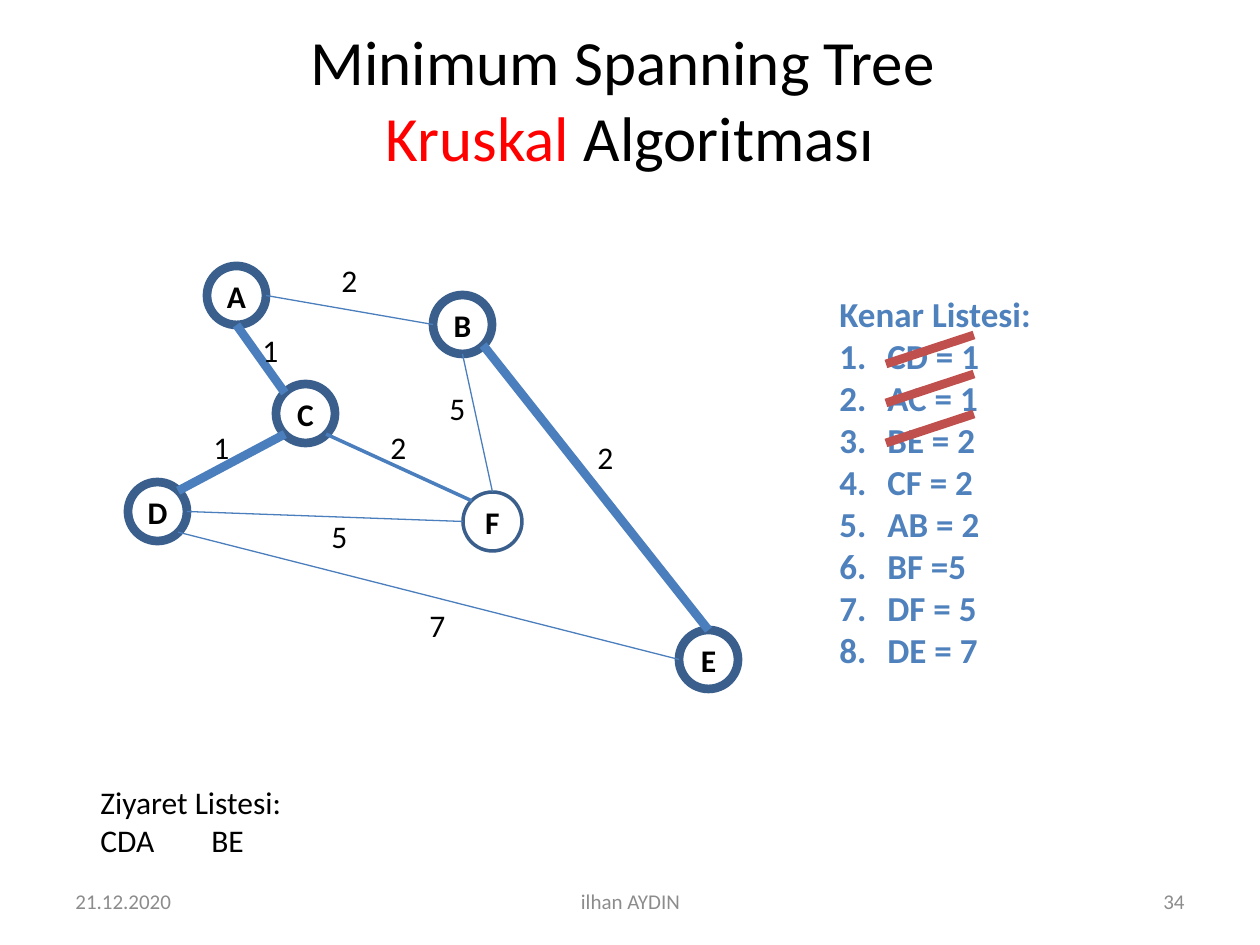
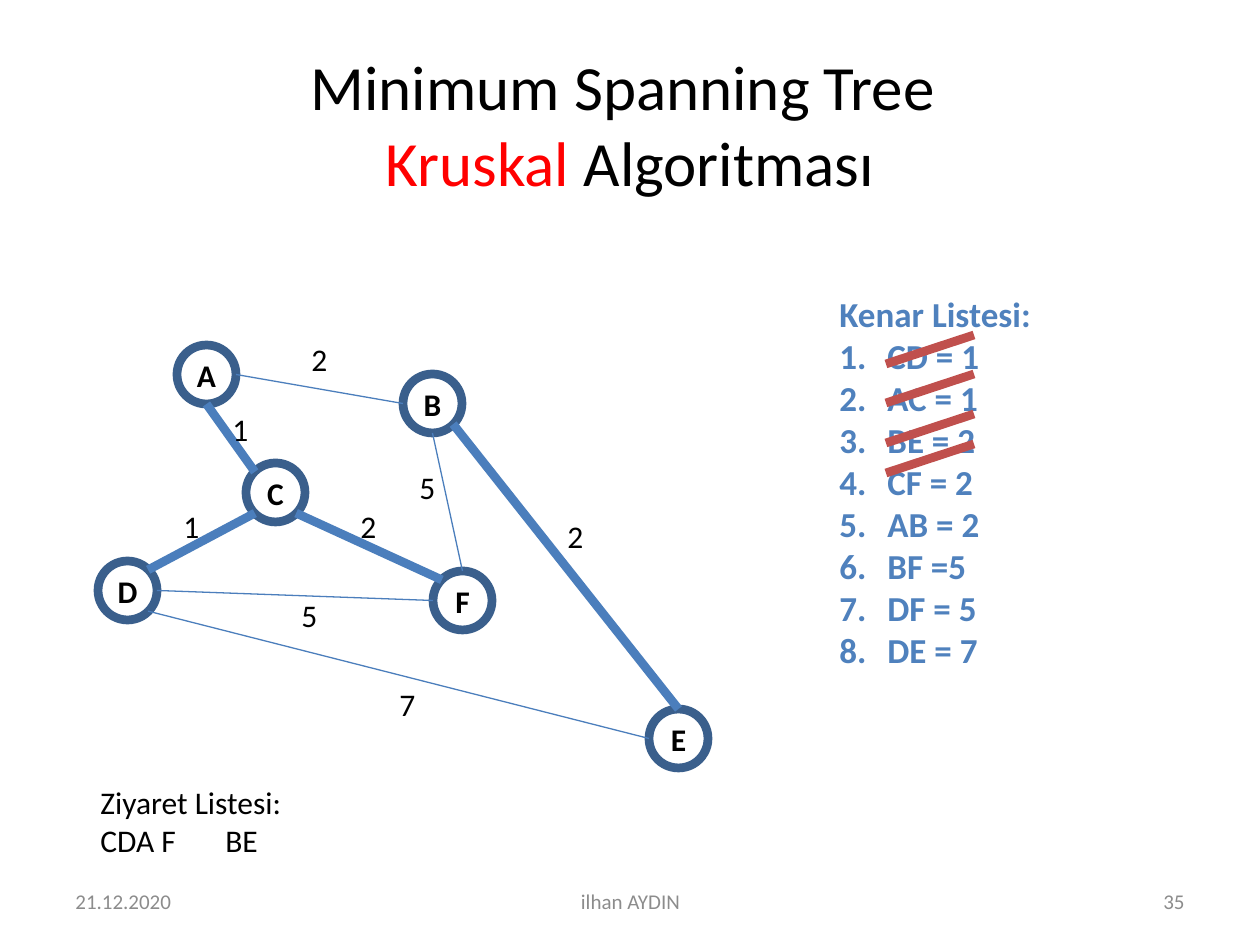
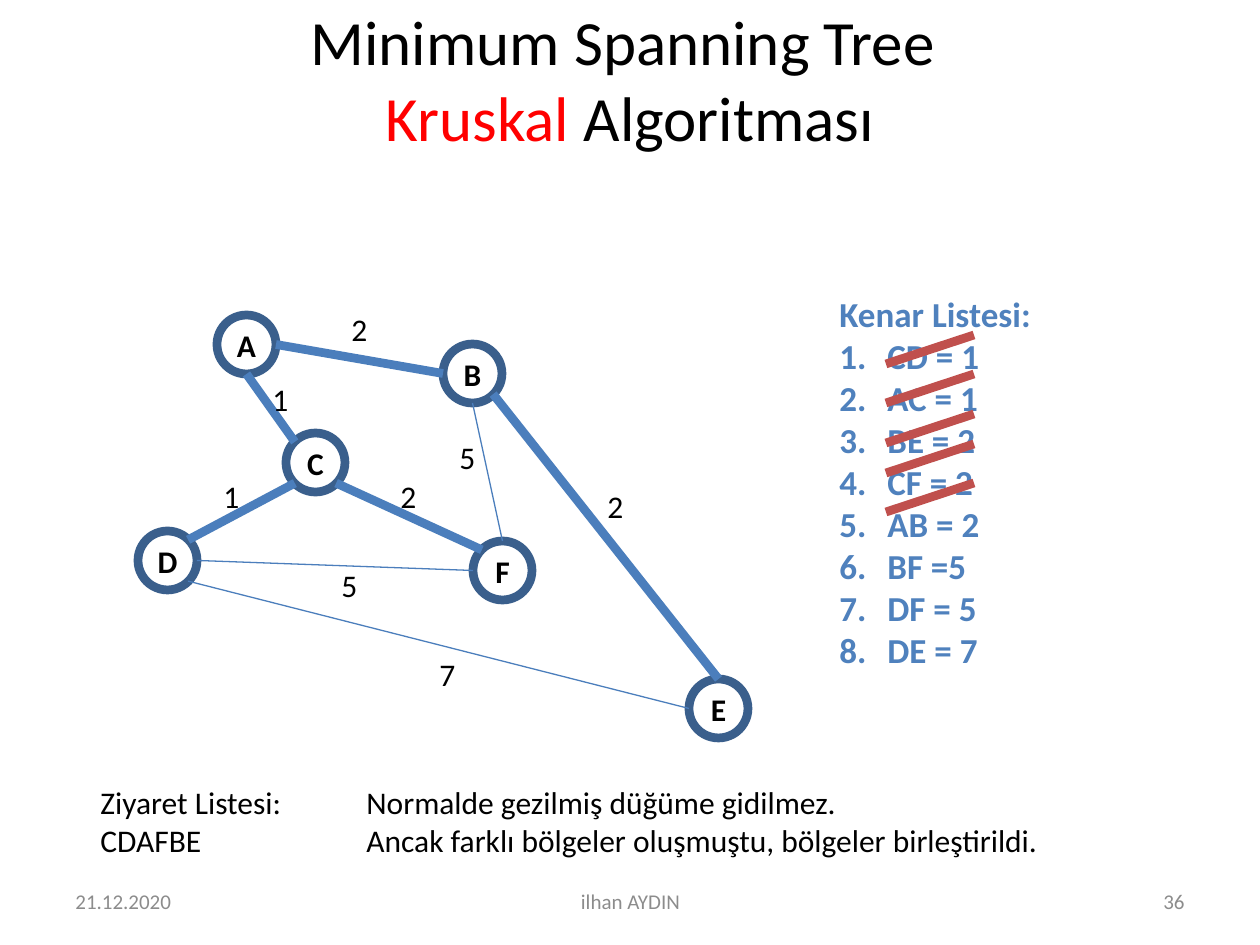
from dataclasses import dataclass

from lxml.etree import SubElement
from pptx import Presentation
from pptx.dml.color import RGBColor
from pptx.enum.shapes import MSO_CONNECTOR, MSO_SHAPE
from pptx.enum.text import MSO_ANCHOR, MSO_AUTO_SIZE, PP_ALIGN
from pptx.oxml.ns import qn
from pptx.util import Emu, Pt

EMU_PER_PX = 914400 / 126


@dataclass(frozen=True)
class Theme:
    font: str = "Calibri"
    text: str = "000000"
    highlight: str = "FF0000"
    node: str = "3A5F8C"
    edge: str = "4B7EBC"
    list_text: str = "4F81BD"
    strike: str = "C0504D"
    footer: str = "8C8C8C"
    title_size: int = 36
    list_size: int = 20
    body_size: int = 18
    footer_size: int = 12
    thin: float = 0.75
    medium: float = 2
    thick: float = 5


theme = Theme()


def px(length):
    return Emu(round(length * EMU_PER_PX))


def add_text(shapes, box, lines, size=theme.body_size, color=theme.text, bold=False,
             align=PP_ALIGN.LEFT, anchor=MSO_ANCHOR.TOP):
    """Add a text box; each line is a list of (text, colour) pairs or a plain string."""
    frame = shapes.add_textbox(*map(px, box)).text_frame
    frame.word_wrap = True
    frame.vertical_anchor = anchor
    for index, line in enumerate(lines):
        paragraph = frame.paragraphs[0] if index == 0 else frame.add_paragraph()
        paragraph.alignment = align
        for text, run_color in [(line, color)] if isinstance(line, str) else line:
            if text == "\n":
                paragraph.add_line_break()
                continue
            run = paragraph.add_run()
            run.text = text
            run.font.name = theme.font
            run.font.size = Pt(size)
            run.font.bold = bold
            run.font.color.rgb = RGBColor.from_string(run_color)
    return frame


def add_line(shapes, start, end, color, width):
    line = shapes.add_connector(MSO_CONNECTOR.STRAIGHT, *map(px, (*start, *end)))
    line.line.color.rgb = RGBColor.from_string(color)
    line.line.width = Pt(width)
    SubElement(line._element.spPr, qn("a:effectLst"))


NODE_SIZE = 59
NODES = {"A": (207, 266), "C": (276, 384), "F": (463, 492),
         "D": (128, 482), "B": (433, 295), "E": (679, 630)}

# Points on a node's rim, measured from its top left corner
NEAR, MIDDLE, FAR = NODE_SIZE * 0.15, NODE_SIZE * 0.5, NODE_SIZE * 0.85
RIM = {"top": (MIDDLE, 0), "bottom": (MIDDLE, NODE_SIZE),
       "left": (0, MIDDLE), "right": (NODE_SIZE, MIDDLE),
       "top left": (NEAR, NEAR), "top right": (FAR, NEAR),
       "bottom left": (NEAR, FAR), "bottom right": (FAR, FAR)}

# Edge: rim point at each end, weight, top left corner of the weight label
EDGES = {
    "AB": ("right", "left", 2, (325, 256)),
    "DF": ("right", "left", 5, (315, 512)),
    "CF": ("bottom right", "top left", 2, (374, 423)),
    "DC": ("top right", "bottom left", 1, (197, 423)),
    "AC": ("bottom", "top left", 1, (246, 326)),
    "BE": ("bottom right", "top", 2, (581, 433)),
    "DE": ("bottom right", "left", 7, (413, 601)),
    "BF": ("bottom", "top", 5, (433, 384)),
}

EDGE_LIST = ["CD = 1", "AC = 1", "BE = 2", "CF = 2", "AB = 2", "BF =5", "DF = 5", "DE = 7"]
LIST_INDENT = 48
STRIKE_BOTTOMS = [364, 403, 443, 473, 512]
TITLE = [("Minimum Spanning Tree ", theme.text), ("\n", theme.text),
         ("Kruskal", theme.highlight), (" Algoritması", theme.text)]

STEPS = [
    dict(number=34, title_top=38, title_height=120, shift=(0, 0), tree=["DC", "AC", "BE"],
         candidate="CF", visited="CDA\tBE", visited_width=767, tab=111, remark=[]),
    dict(number=35, title_top=58, title_height=130, shift=(-30, 79),
         tree=["DC", "AC", "BE", "CF"], candidate=None, visited="CDA F\tBE",
         visited_width=767, tab=125, remark=[]),
    dict(number=36, title_top=38, title_height=80, shift=(10, 49),
         tree=["DC", "AC", "BE", "CF", "AB"], candidate=None, visited="CDAFBE",
         visited_width=246, tab=None,
         remark=["Normalde gezilmiş düğüme gidilmez.",
                 "Ancak farklı bölgeler oluşmuştu, bölgeler birleştirildi."]),
]

presentation = Presentation()
presentation.slide_width = px(1260)
presentation.slide_height = px(945)

for step in STEPS:
    slide = presentation.slides.add_slide(presentation.slide_layouts[6])
    add_text(slide.shapes, (63, step["title_top"], 1134, step["title_height"]), [TITLE],
             theme.title_size, align=PP_ALIGN.CENTER, anchor=MSO_ANCHOR.MIDDLE)

    graph = slide.shapes.add_group_shape().shapes
    shift_x, shift_y = step["shift"]
    corners = {name: (x + shift_x, y + shift_y) for name, (x, y) in NODES.items()}
    for name, corner in corners.items():
        node = graph.add_shape(MSO_SHAPE.OVAL, *map(px, (*corner, NODE_SIZE, NODE_SIZE)))
        node.shadow.inherit = False
        node.fill.background()
        node.line.color.rgb = RGBColor.from_string(theme.node)
        node.line.width = Pt(theme.thick if name in step["visited"] else theme.medium)
        frame = node.text_frame
        frame.margin_left = frame.margin_right = frame.margin_top = frame.margin_bottom = 0
        frame.vertical_anchor = MSO_ANCHOR.MIDDLE
        paragraph = frame.paragraphs[0]
        paragraph.text = name
        paragraph.alignment = PP_ALIGN.CENTER
        font = paragraph.runs[0].font
        font.name, font.size, font.bold = theme.font, Pt(theme.body_size), True
        font.color.rgb = RGBColor.from_string(theme.text)

    for edge, (start_side, end_side, weight, label) in EDGES.items():
        start, end = [(corners[name][0] + RIM[side][0], corners[name][1] + RIM[side][1])
                      for name, side in zip(edge, (start_side, end_side))]
        width = theme.medium if edge == step["candidate"] else theme.thin
        add_line(graph, start, end, theme.edge, theme.thick if edge in step["tree"] else width)
    for start_side, end_side, weight, (x, y) in EDGES.values():
        add_text(graph, (x + shift_x, y + shift_y, 49, 47), [str(weight)],
                 align=PP_ALIGN.CENTER, anchor=MSO_ANCHOR.MIDDLE)

    edge_frame = add_text(slide.shapes, (827, 286, 218, 437), ["Kenar Listesi:"] + EDGE_LIST,
                          theme.list_size, theme.list_text, bold=True)
    edge_frame.word_wrap = False
    edge_frame.auto_size = MSO_AUTO_SIZE.SHAPE_TO_FIT_TEXT
    for paragraph in edge_frame.paragraphs[1:]:
        properties = paragraph._p.get_or_add_pPr()
        properties.set("marL", str(px(LIST_INDENT)))
        properties.set("indent", str(-px(LIST_INDENT)))
        SubElement(properties, qn("a:buFont"), typeface="+mj-lt")
        SubElement(properties, qn("a:buAutoNum"), type="arabicPeriod")
    for bottom in STRIKE_BOTTOMS[:len(step["tree"])]:
        add_line(slide.shapes, (886, bottom), (974, bottom - 29), theme.strike, theme.thick)

    visited_frame = add_text(slide.shapes, (88, 777, step["visited_width"], 89),
                             ["Ziyaret Listesi:", step["visited"]])
    if step["tab"]:
        properties = visited_frame.paragraphs[1]._p.get_or_add_pPr()
        tabs = SubElement(properties, qn("a:tabLst"))
        SubElement(tabs, qn("a:tab"), pos=str(px(step["tab"])), algn="l")
    if step["remark"]:
        add_text(slide.shapes, (354, 777, 709, 89), step["remark"])

    for left, width, text, align in [(63, 294, "21.12.2020", PP_ALIGN.LEFT),
                                     (903, 294, str(step["number"]), PP_ALIGN.RIGHT),
                                     (431, 399, "ilhan AYDIN", PP_ALIGN.CENTER)]:
        add_text(slide.shapes, (left, 876, width, 50), [text], theme.footer_size,
                 theme.footer, align=align, anchor=MSO_ANCHOR.MIDDLE)

presentation.save("out.pptx")
